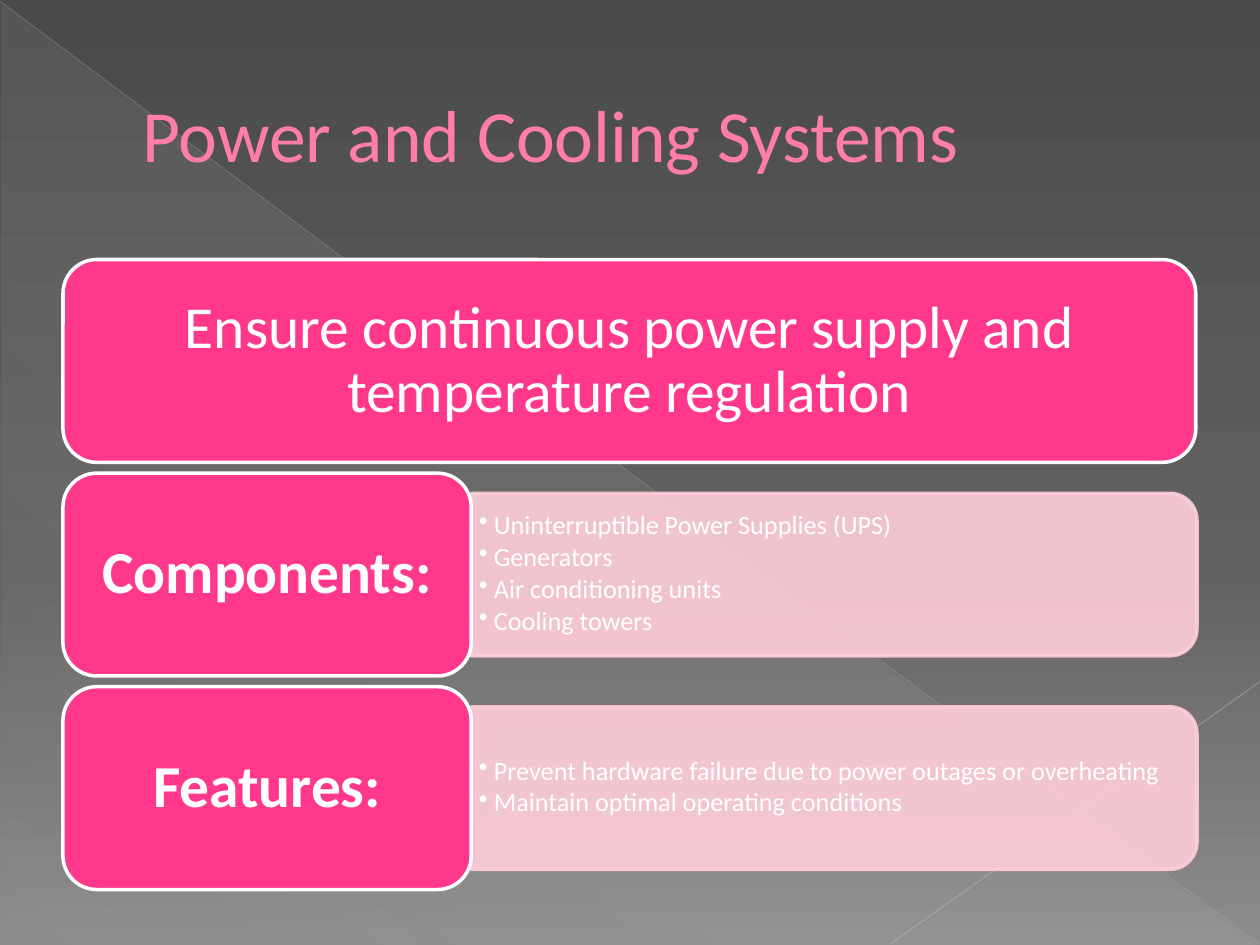
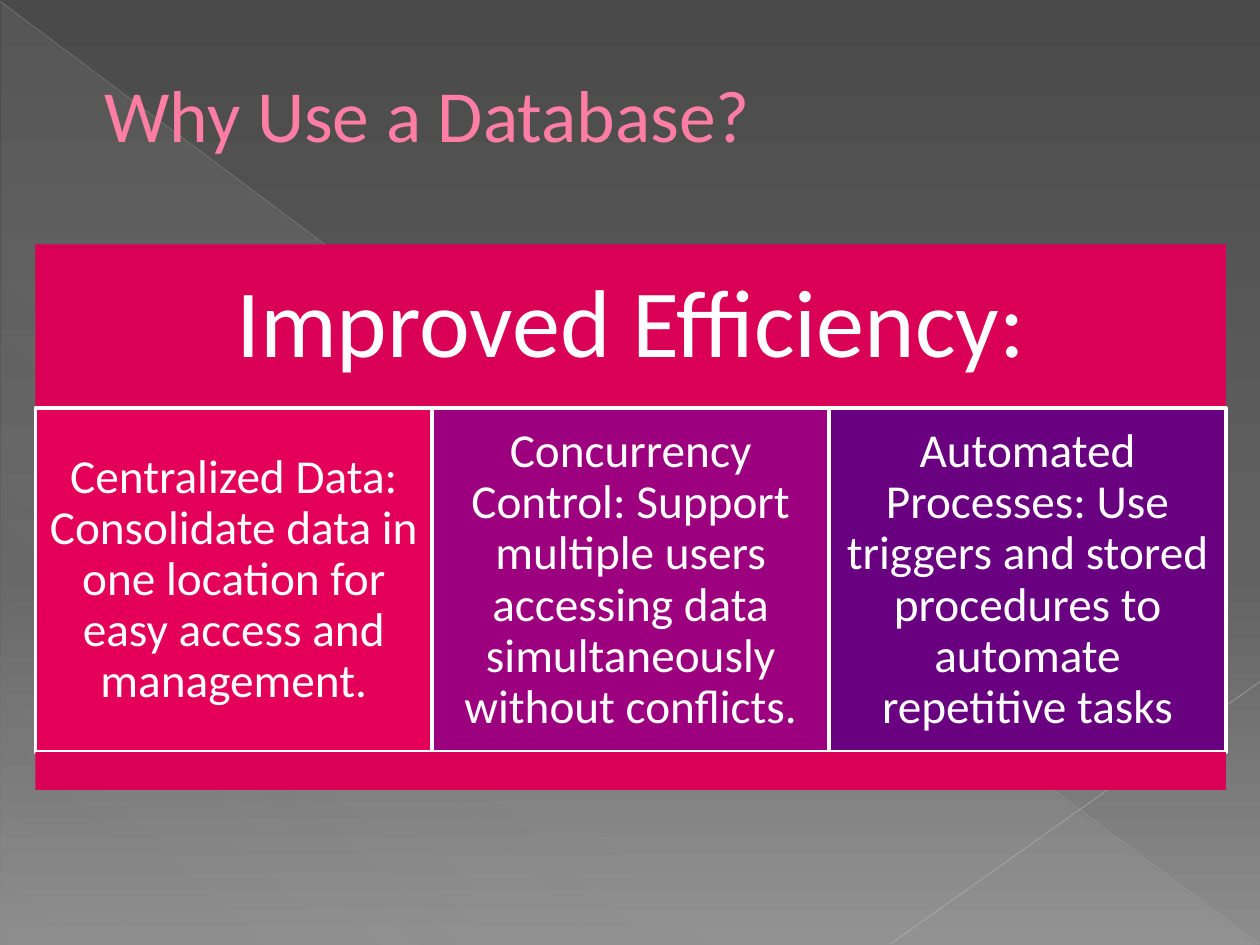
from dataclasses import dataclass
from typing import Optional

from lxml import etree
from pptx import Presentation
from pptx.dml.color import RGBColor
from pptx.enum.shapes import MSO_CONNECTOR, MSO_SHAPE
from pptx.enum.text import MSO_ANCHOR, PP_ALIGN
from pptx.oxml.ns import qn
from pptx.util import Inches, Pt

RECTANGLE = MSO_SHAPE.RECTANGLE
ROUNDED = MSO_SHAPE.ROUNDED_RECTANGLE
TWO_ROUNDED = MSO_SHAPE.ROUND_2_SAME_RECTANGLE
TRIANGLE = MSO_SHAPE.RIGHT_TRIANGLE
STRAIGHT = MSO_CONNECTOR.STRAIGHT
MIDDLE = MSO_ANCHOR.MIDDLE
LEFT, CENTER = PP_ALIGN.LEFT, PP_ALIGN.CENTER

FONT = "Calibri"
WHITE = RGBColor(0xFF, 0xFF, 0xFF)
TITLE_PINK = RGBColor(0xFF, 0x7D, 0xA7)
HOT_PINK = RGBColor(0xFF, 0x38, 0x8C)
PALE_PINK = RGBColor(0xFF, 0xCE, 0xDA)
CRIMSON = RGBColor(0xDA, 0x00, 0x55)
RASPBERRY = RGBColor(0xE4, 0x00, 0x59)
PLUM = RGBColor(0x9C, 0x00, 0x7F)
PURPLE = RGBColor(0x68, 0x00, 0x7F)
DARK_GRAY = RGBColor(0x4A, 0x4A, 0x4A)
MID_GRAY = RGBColor(0x62, 0x62, 0x62)
LIGHT_GRAY = RGBColor(0x8C, 0x8C, 0x8C)
SHEEN = RGBColor(0xD2, 0xD2, 0xD2)
DIAGONAL_GRAY = RGBColor(0xBF, 0xBF, 0xBF)
CORNER_GRAY = RGBColor(0xC6, 0xC6, 0xC6)


@dataclass(frozen=True)
class Box:
    left: float
    top: float
    width: float
    height: float

    def lengths(self):
        return [Inches(n) for n in (self.left, self.top, self.width, self.height)]


@dataclass(frozen=True)
class Stop:
    position: int
    color: RGBColor
    opacity: int = 100


@dataclass(frozen=True)
class Diagonal:
    start: tuple
    end: tuple
    color: RGBColor
    width: float
    opacity: int


@dataclass(frozen=True)
class Section:
    label: str
    details: tuple


@dataclass(frozen=True)
class Column:
    text: str
    color: RGBColor


BACKGROUND_STOPS = (Stop(0, DARK_GRAY), Stop(60, MID_GRAY), Stop(100, LIGHT_GRAY))
SHEEN_STOPS = (Stop(0, SHEEN, 10), Stop(70, SHEEN, 8), Stop(100, SHEEN, 1))
DIAGONALS = (
    Diagonal((0, 0.01), (9.99, 7.49), DIAGONAL_GRAY, 0.39, 35),
    Diagonal((10, 5.41), (7.07, 7.49), CORNER_GRAY, 0.47, 45),
)
SECTIONS = (
    Section("Components:", (
        "Uninterruptible Power Supplies (UPS)",
        "Generators",
        "Air conditioning units",
        "Cooling towers",
    )),
    Section("Features:", (
        "Prevent hardware failure due to power outages or overheating",
        "Maintain optimal operating conditions",
    )),
)
COLUMNS = (
    Column("Centralized Data: Consolidate data in one location for easy access "
           "and management.", RASPBERRY),
    Column("Concurrency Control: Support multiple users accessing data "
           "simultaneously without conflicts.", PLUM),
    Column("Automated Processes: Use triggers and stored procedures to automate "
           "repetitive tasks", PURPLE),
)


def set_opacity(shape, percent: int) -> None:
    for color in shape.element.xpath("./p:spPr//a:srgbClr"):
        etree.SubElement(color, qn("a:alpha"), val=str(percent * 1000))


def set_gradient(fill, owner, stops: tuple, clockwise_angle: int) -> None:
    fill.gradient()
    fill.gradient_angle = 360 - clockwise_angle
    stop_list = owner.xpath(".//a:gsLst")[0]
    for old_stop in list(stop_list):
        stop_list.remove(old_stop)
    for stop in stops:
        entry = etree.SubElement(stop_list, qn("a:gs"), pos=str(stop.position * 1000))
        color = etree.SubElement(entry, qn("a:srgbClr"), val=str(stop.color))
        if stop.opacity < 100:
            etree.SubElement(color, qn("a:alpha"), val=str(stop.opacity * 1000))


def add_panel(slide, kind, box: Box, color: RGBColor, line: Optional[RGBColor] = None):
    shape = slide.shapes.add_shape(kind, *box.lengths())
    shape.shadow.inherit = False
    shape.fill.solid()
    shape.fill.fore_color.rgb = color
    if line is None:
        shape.line.fill.background()
    else:
        shape.line.color.rgb = line
        shape.line.width = Pt(2)
    return shape


def set_frame(shape, horizontal: float, vertical: float):
    frame = shape.text_frame
    frame.word_wrap = True
    frame.vertical_anchor = MIDDLE
    frame.margin_left = frame.margin_right = Inches(horizontal)
    frame.margin_top = frame.margin_bottom = Inches(vertical)
    return frame


def set_font(paragraph, size: float, color: RGBColor = WHITE, bold: bool = False) -> None:
    font = paragraph.font
    font.name = FONT
    font.size = Pt(size)
    font.bold = bold
    font.color.rgb = color


def write_centered(shape, text: str, size: float, horizontal: float, vertical: float,
                   bold: bool = False) -> None:
    paragraph = set_frame(shape, horizontal, vertical).paragraphs[0]
    paragraph.text = text
    paragraph.alignment = CENTER
    paragraph.line_spacing = 0.9
    set_font(paragraph, size, bold=bold)


def add_bullets(slide, box: Box, items: tuple) -> None:
    text_box = slide.shapes.add_textbox(*box.lengths())
    frame = set_frame(text_box, 0.06, 0.03)
    for index, item in enumerate(items):
        paragraph = frame.add_paragraph() if index else frame.paragraphs[0]
        paragraph.text = item
        paragraph.line_spacing = 0.9
        paragraph.space_after = Pt(2)
        properties = paragraph._p.get_or_add_pPr()
        properties.set("marL", str(Inches(0.12)))
        properties.set("indent", str(-Inches(0.12)))
        etree.SubElement(properties, qn("a:buChar"), char="•")
        set_font(paragraph, 15)


def move_to_master(shape, master, position: int) -> None:
    shape.element.xpath(".//p:cNvPr")[0].set("id", str(100 + position))
    master.shapes._spTree.insert(2 + position, shape.element)


def decorate_master(master, slide) -> None:
    set_gradient(master.background.fill, master.element, BACKGROUND_STOPS, 90)
    sheen = add_panel(slide, TRIANGLE, Box(0.01, 0.02, 9.98, 7.48), SHEEN)
    set_gradient(sheen.fill, sheen.element, SHEEN_STOPS, 133)
    move_to_master(sheen, master, 0)
    for position, diagonal in enumerate(DIAGONALS, start=1):
        ends = [Inches(n) for n in diagonal.start + diagonal.end]
        connector = slide.shapes.add_connector(STRAIGHT, *ends)
        connector.line.color.rgb = diagonal.color
        connector.line.width = Pt(diagonal.width)
        set_opacity(connector, diagonal.opacity)
        etree.SubElement(connector.element.spPr, qn("a:effectLst"))
        move_to_master(connector, master, position)


def add_titled_slide(presentation, text: str, left: float, top: float):
    slide = presentation.slides.add_slide(presentation.slide_layouts[5])
    title = slide.shapes.title
    title.left, title.top, title.width, title.height = Box(left, top, 9, 1.53).lengths()
    paragraph = set_frame(title, 0.1, 0.05).paragraphs[0]
    paragraph.text = text
    paragraph.alignment = LEFT
    paragraph._p.get_or_add_pPr().set("marL", str(Inches(0.53)))
    set_font(paragraph, 42, TITLE_PINK)
    return slide


def add_label(slide, box: Box, text: str, bold: bool = False) -> None:
    label = add_panel(slide, ROUNDED, box, HOT_PINK, WHITE)
    write_centered(label, text, 34, 0.14, 0.07, bold)


def add_section(slide, section: Section, top: float) -> None:
    left, width, height = 3.74, 5.76, 1.29
    bar_top = top + 0.16
    upright = Box(left + (width - height) / 2, bar_top - (width - height) / 2, height, width)
    bar = add_panel(slide, TWO_ROUNDED, upright, PALE_PINK, PALE_PINK)
    bar.rotation = 90
    set_opacity(bar, 90)
    add_bullets(slide, Box(left, bar_top + 0.06, 5.7, 1.16), section.details)
    add_label(slide, Box(0.5, top, 3.24, 1.61), section.label, bold=True)


def fill_power_slide(slide) -> None:
    first_top, pitch = 2.06, 1.695
    add_label(slide, Box(0.5, first_top, 8.99, 1.61),
              "Ensure continuous power supply and temperature regulation")
    for row, section in enumerate(SECTIONS, start=1):
        add_section(slide, section, first_top + row * pitch)


def fill_database_slide(slide) -> None:
    left, top, width = 0.28, 1.94, 9.45
    header_height, column_height = 1.3, 2.73
    column_width = width / len(COLUMNS)
    column_top = top + header_height
    header = add_panel(slide, RECTANGLE, Box(left, top, width, header_height), CRIMSON)
    write_centered(header, "Improved Efficiency:", 55, 0.23, 0.23)
    for index, column in enumerate(COLUMNS):
        box = Box(left + index * column_width, column_top, column_width, column_height)
        panel = add_panel(slide, RECTANGLE, box, column.color, WHITE)
        write_centered(panel, column.text, 27, 0.11, 0.11)
    add_panel(slide, RECTANGLE, Box(left, column_top + column_height, width, 0.3), CRIMSON)


def main() -> None:
    presentation = Presentation()
    presentation.slide_width = Inches(10)
    presentation.slide_height = Inches(7.5)
    power_slide = add_titled_slide(presentation, "Power and Cooling Systems", 0.5, 0.29)
    decorate_master(presentation.slide_master, power_slide)
    fill_power_slide(power_slide)
    fill_database_slide(add_titled_slide(presentation, "Why Use a Database?", 0.2, 0.13))
    presentation.save("out.pptx")


if __name__ == "__main__":
    main()
